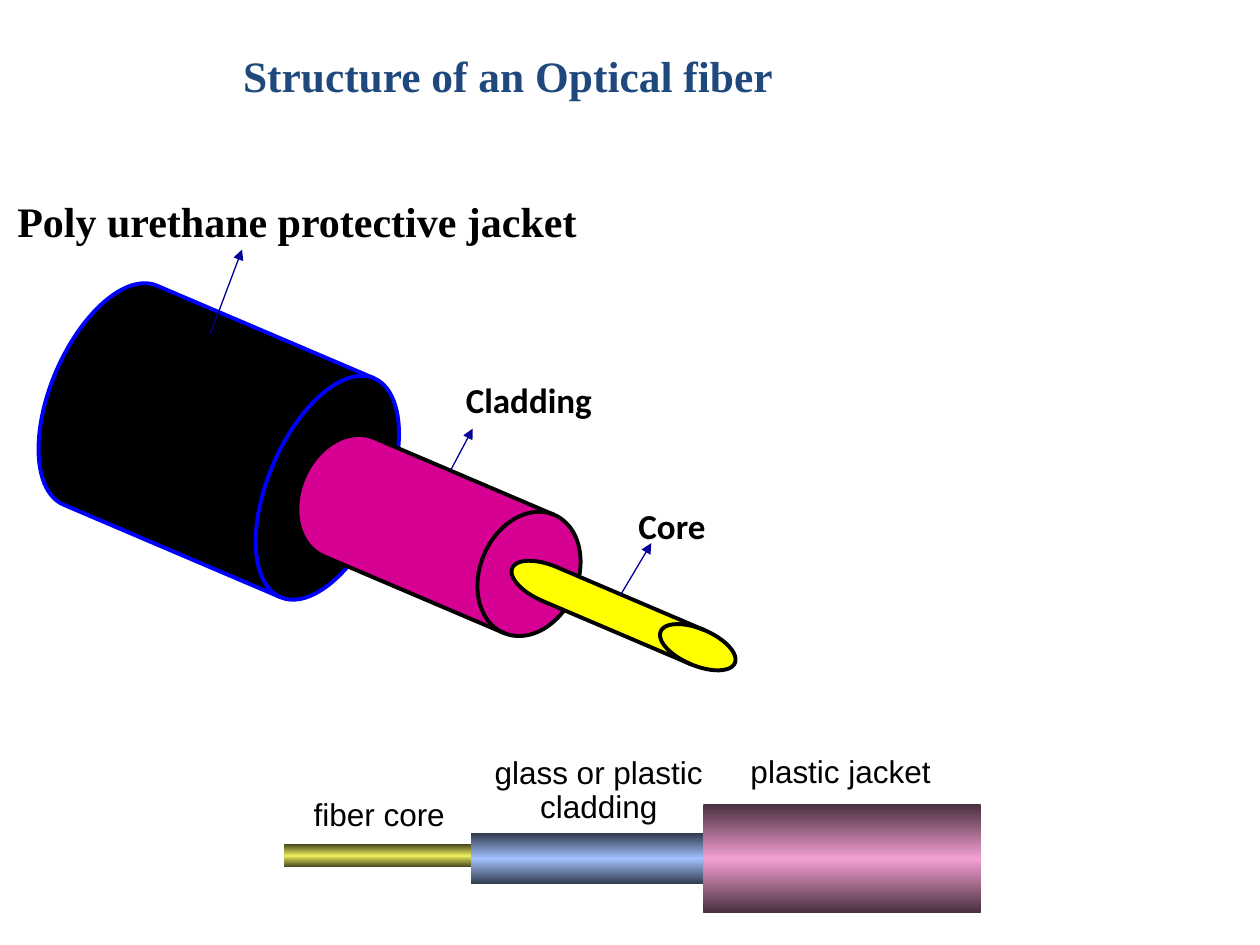
from lxml.etree import SubElement
from pptx import Presentation
from pptx.dml.color import RGBColor
from pptx.enum.dml import MSO_LINE
from pptx.enum.shapes import MSO_CONNECTOR, MSO_SHAPE
from pptx.enum.text import MSO_AUTO_SIZE, PP_ALIGN
from pptx.oxml.ns import qn
from pptx.util import Cm, Pt

# Content: all lengths in centimetres
TITLE = "Structure of an Optical fiber"
TILT = 23.1
# left, top, width, height, fill, outline
CYLINDERS = [
    (0.84, 6.5, 7.14, 4.8, "000000", "0000FF"),
    (5.89, 9.5, 5.92, 2.59, "D60093", "000000"),
    (10.13, 12.04, 4.88, 0.74, "FFFF00", "000000"),
]
# lines, left, top, width, height, font, size, bold, alignment, line spacing
CYLINDER_LABELS = [
    (["Poly urethane protective jacket"], 0.1, 3.81, 14, 1.28, "Times New Roman", 24, True, PP_ALIGN.LEFT, 1),
    (["Cladding"], 9.14, 7.5, 3.15, 1.11, "Calibri", 20, True, PP_ALIGN.LEFT, 1),
    (["Core"], 12.62, 10.04, 2.1, 1.11, "Calibri", 20, True, PP_ALIGN.LEFT, 1),
]
ARROWS = [
    (4.24, 6.73, 4.88, 5.03),
    (9.09, 9.47, 9.53, 8.64),
    (12.5, 12.01, 13.13, 10.95),
]
SECTION_LEFT = 5.72
# width, height, vertical centre, edge colour, middle colour
SECTIONS = [
    (3.78, 0.46, 17.25, "46461C", "EAEC5E"),
    (4.68, 1.03, 17.31, "303A4C", "A2C1FE"),
    (5.59, 2.2, 17.31, "482F3E", "F39FD1"),
]
SECTION_LABELS = [
    (["fiber core"], 6.02, 15.9, 3.25, 1.02, "Arial", 18, False, PP_ALIGN.CENTER, 1),
    (["glass or plastic", "cladding"], 9.65, 15.14, 4.84, 1.63, "Arial", 18, False, PP_ALIGN.CENTER, 0.9),
    (["plastic jacket"], 14.88, 15.04, 4.25, 1.02, "Arial", 18, False, PP_ALIGN.LEFT, 1),
]


def color(value):
    return RGBColor.from_string(value)


def add_span(para, text, font, size, bold, value="000000"):
    span = para.add_run()
    span.text = text
    span.font.name = font
    span.font.size = Pt(size)
    span.font.bold = bold
    span.font.color.rgb = color(value)


def add_label(group, lines, left, top, width, height, font, size, bold, align, spacing):
    box = group.shapes.add_textbox(Cm(left), Cm(top), Cm(width), Cm(height))
    frame = box.text_frame
    frame.word_wrap = False
    frame.auto_size = MSO_AUTO_SIZE.SHAPE_TO_FIT_TEXT
    for index, line in enumerate(lines):
        para = frame.add_paragraph() if index else frame.paragraphs[0]
        para.alignment = align
        para.line_spacing = spacing
        add_span(para, line, font, size, bold)


def add_solid(group, kind, left, top, width, height):
    shape = group.shapes.add_shape(kind, Cm(left), Cm(top), Cm(width), Cm(height))
    shape.shadow.inherit = False
    return shape


def add_arrow(group, x1, y1, x2, y2):
    arrow = group.shapes.add_connector(
        MSO_CONNECTOR.STRAIGHT, Cm(x1), Cm(y1), Cm(x2), Cm(y2))
    arrow.line.color.rgb = color("000099")
    arrow.line.width = Pt(0.75)
    arrow.line.dash_style = MSO_LINE.SOLID
    properties = arrow.element.spPr
    SubElement(properties.find(qn("a:ln")), qn("a:tailEnd"), type="triangle")
    SubElement(properties, qn("a:effectLst"))


def fill_tube(shape, edge, middle):
    """Shade from the edge colour to the middle colour and back."""
    shape.fill.gradient()
    shape.fill.gradient_angle = 270
    stops = shape.element.spPr.find(qn("a:gradFill")).find(qn("a:gsLst"))
    for stop in list(stops):
        stops.remove(stop)
    for position, value in ((0, edge), (50, middle), (100, edge)):
        stop = SubElement(stops, qn("a:gs"), pos=str(position * 1000))
        SubElement(stop, qn("a:srgbClr"), val=value)


deck = Presentation()
deck.slide_width, deck.slide_height = Cm(25.4), Cm(19.05)
page = deck.slides.add_slide(deck.slide_layouts[6])

# Title
title = page.shapes.add_textbox(Cm(4.65), Cm(1.07), Cm(13.34), Cm(1.7))
title.text_frame.word_wrap = True
heading = title.text_frame.paragraphs[0]
heading.line_spacing = 0.8
add_span(heading, TITLE, "Times New Roman", 24.8, True, "1F497D")

# Tilted fiber with its layers
fiber = page.shapes.add_group_shape()
for left, top, width, height, fill, outline in CYLINDERS:
    cylinder = add_solid(fiber, MSO_SHAPE.FLOWCHART_DIRECT_ACCESS_STORAGE,
                         left, top, width, height)
    cylinder.rotation = TILT
    cylinder.fill.solid()
    cylinder.fill.fore_color.rgb = color(fill)
    cylinder.line.color.rgb = color(outline)
    cylinder.line.width = Pt(2.25)
for label in CYLINDER_LABELS:
    add_label(fiber, *label)
for arrow_ends in ARROWS:
    add_arrow(fiber, *arrow_ends)

# Side view: sections laid end to end
side_view = page.shapes.add_group_shape()
left = SECTION_LEFT
for width, height, centre, edge, middle in SECTIONS:
    tube = add_solid(side_view, MSO_SHAPE.RECTANGLE,
                     left, centre - height / 2, width, height)
    fill_tube(tube, edge, middle)
    tube.line.fill.background()
    left += width
for label in SECTION_LABELS:
    add_label(side_view, *label)

deck.save("out.pptx")
